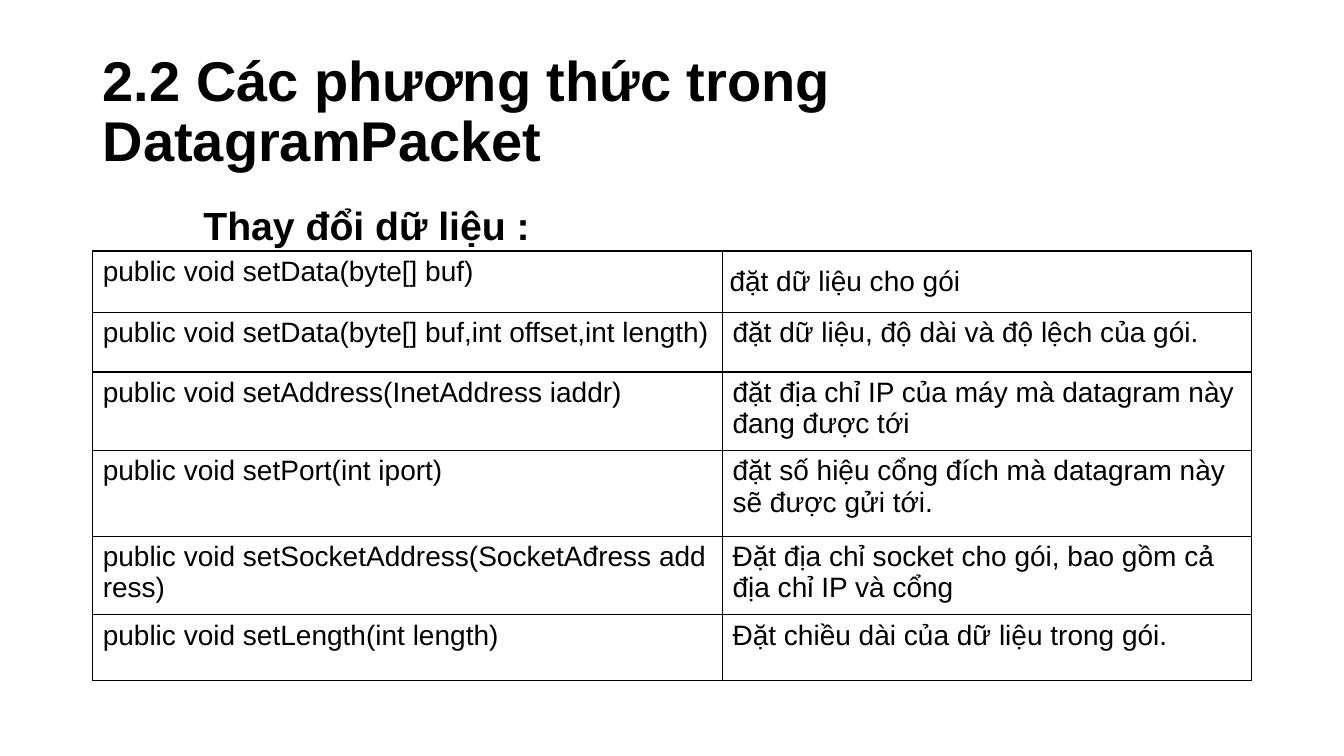
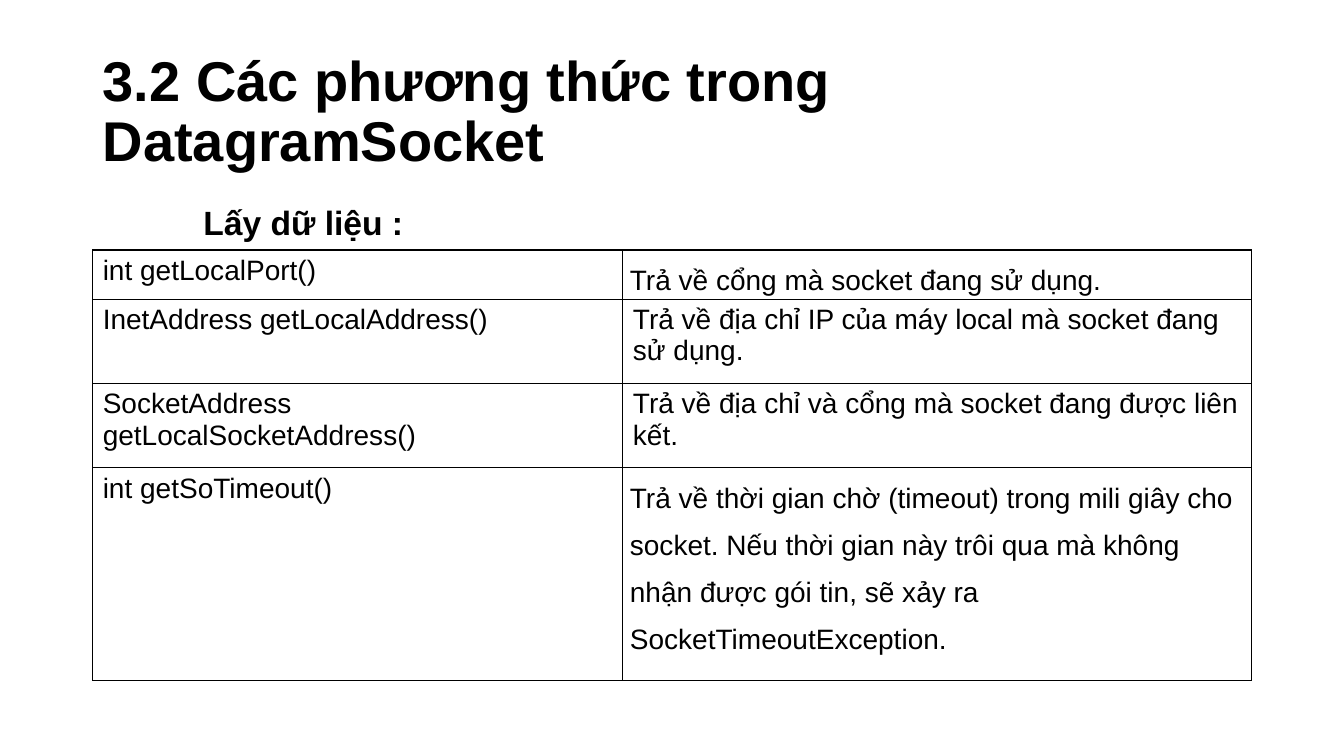
from dataclasses import dataclass
from typing import Any

from lxml import etree
from pptx import Presentation
from pptx.dml.color import RGBColor
from pptx.enum.text import MSO_ANCHOR, MSO_AUTO_SIZE, PP_ALIGN
from pptx.oxml.ns import qn
from pptx.util import Inches, Pt

MIDDLE = MSO_ANCHOR.MIDDLE
TOP = MSO_ANCHOR.TOP
NO_FIT = MSO_AUTO_SIZE.NONE
LEFT = PP_ALIGN.LEFT
TITLE_ONLY = 5
NO_BREAK_SPACE = chr(160)

SLIDE_WIDTH = Inches(13.33)
SLIDE_HEIGHT = Inches(7.5)
GRID_COLUMNS = 29
GRID_ROWS = 75
CONTENT_COLUMNS = 25


@dataclass(frozen=True)
class Theme:
    font: str = "Arial"
    ink: RGBColor = RGBColor(0, 0, 0)
    title_size: int = 40
    cell_size: int = 20
    border: int = 1
    tight: float = 0.9
    loose: float = 1.5


@dataclass(frozen=True)
class Area:
    row: float
    rows: float
    column: float = 2
    columns: float = CONTENT_COLUMNS

    def place(self) -> tuple[int, int, int, int]:
        return (across(self.column), down(self.row),
                across(self.columns), down(self.rows))


@dataclass(frozen=True)
class Method:
    signature: str
    meaning: str
    height: float
    loose: bool = False
    space_after: int = 0


@dataclass(frozen=True)
class Page:
    title: str
    heading: str
    heading_size: int
    table_row: float
    signature_columns: float
    methods: tuple[Method, ...]
    unbroken: bool = False


THEME = Theme()
TITLE_AREA = Area(4, 14.5)
HEADING_AREA = Area(20, 47.6)

PAGES = (
    Page(
        "2.2 Các phương thức trong DatagramPacket",
        "Thay đổi dữ liệu :", 28, 24.9, 13.59,
        (
            Method("public void setData(byte[] buf)",
                   "đặt dữ liệu cho gói", 6.1, True, 8),
            Method("public void setData(byte[] buf,int offset,int length)",
                   "đặt dữ liệu, độ dài và độ lệch của gói.", 5.9),
            Method("public void setAddress(InetAddress iaddr)",
                   "đặt địa chỉ IP của máy mà datagram này đang được tới", 7.8),
            Method("public void setPort(int iport)",
                   "đặt số hiệu cổng đích mà datagram này sẽ được gửi tới.", 8.5),
            Method("public void setSocketAddress(SocketAđress address)",
                   "Đặt địa chỉ socket cho gói, bao gồm cả địa chỉ IP và cổng", 7.8),
            Method("public void setLength(int length)",
                   "Đặt chiều dài của dữ liệu trong gói.", 6.5),
        ),
        unbroken=True,
    ),
    Page(
        "3.2 Các phương thức trong DatagramSocket",
        "Lấy dữ liệu :", 24, 24.8, 11.44,
        (
            Method("int getLocalPort()",
                   "Trả về cổng mà socket đang sử dụng.", 4.9, True),
            Method("InetAddress getLocalAddress()",
                   "Trả về địa chỉ IP của máy local mà socket đang sử dụng.", 8.35),
            Method("SocketAddress getLocalSocketAddress()",
                   "Trả về địa chỉ và cổng mà socket đang được liên kết.", 8.35),
            Method("int getSoTimeout()",
                   "Trả về thời gian chờ (timeout) trong mili giây cho socket. "
                   "Nếu thời gian này trôi qua mà không nhận được gói tin, "
                   "sẽ xảy ra SocketTimeoutException.", 21.1, True),
        ),
    ),
)


def across(columns: float) -> int:
    return round(SLIDE_WIDTH * columns / GRID_COLUMNS)


def down(rows: float) -> int:
    return round(SLIDE_HEIGHT * rows / GRID_ROWS)


def assign(target: Any, values: dict[str, Any]) -> None:
    for name, value in values.items():
        setattr(target, name, value)


def write(frame: Any, text: str, size: int, bold: bool = False,
          **spacing: Any) -> Any:
    para = frame.paragraphs[0]
    assign(para, {"alignment": LEFT, **spacing})
    span = para.add_run()
    span.text = text
    assign(span.font, {"name": THEME.font, "size": Pt(size), "bold": bold})
    span.font.color.rgb = THEME.ink
    return para


def add_title(slide: Any, text: str) -> None:
    box = slide.shapes.title
    assign(box, dict(zip(("left", "top", "width", "height"), TITLE_AREA.place())))
    assign(box.text_frame, {"vertical_anchor": MIDDLE, "word_wrap": True,
                            "auto_size": NO_FIT})
    write(box.text_frame, text, THEME.title_size, True, line_spacing=THEME.tight)


def add_heading(slide: Any, text: str, size: int) -> None:
    box = slide.shapes.add_textbox(*HEADING_AREA.place())
    assign(box.text_frame, {"vertical_anchor": TOP, "word_wrap": True,
                            "auto_size": NO_FIT})
    para = write(box.text_frame, text, size, True, line_spacing=THEME.tight)
    para._p.get_or_add_pPr().set("marL", str(Inches(1)))


def outline(cell: Any) -> None:
    properties = cell._tc.get_or_add_tcPr()
    for side in ("a:lnL", "a:lnR", "a:lnT", "a:lnB"):
        line = etree.SubElement(properties, qn(side), w=str(Pt(THEME.border)))
        fill = etree.SubElement(line, qn("a:solidFill"))
        etree.SubElement(fill, qn("a:srgbClr"), val=str(THEME.ink))
    cell.fill.background()


def fill_row(cells: Any, method: Method, unbroken: bool) -> None:
    signature_cell, meaning_cell = cells
    signature = method.signature
    if unbroken:
        signature = signature.replace(" ", NO_BREAK_SPACE)
    write(signature_cell.text_frame, signature, THEME.cell_size)
    spacing: dict[str, Any] = {}
    if method.loose:
        assign(meaning_cell, {"margin_left": Inches(0.07), "margin_top": 0,
                              "margin_right": Inches(0.07), "margin_bottom": 0})
        spacing = {"line_spacing": THEME.loose,
                   "space_after": Pt(method.space_after)}
    write(meaning_cell.text_frame, method.meaning, THEME.cell_size, **spacing)
    for cell in cells:
        outline(cell)


def add_methods(slide: Any, page: Page) -> None:
    height = sum(method.height for method in page.methods)
    area = Area(page.table_row, height)
    table = slide.shapes.add_table(len(page.methods), 2, *area.place()).table
    assign(table, {"first_row": False, "horz_banding": False})
    widths = (page.signature_columns, CONTENT_COLUMNS - page.signature_columns)
    for column, width in zip(table.columns, widths):
        column.width = across(width)
    for row, method in zip(table.rows, page.methods):
        row.height = down(method.height)
        fill_row(tuple(row.cells), method, page.unbroken)


def main() -> None:
    deck = Presentation()
    assign(deck, {"slide_width": SLIDE_WIDTH, "slide_height": SLIDE_HEIGHT})
    for page in PAGES:
        slide = deck.slides.add_slide(deck.slide_layouts[TITLE_ONLY])
        add_title(slide, page.title)
        add_heading(slide, page.heading, page.heading_size)
        add_methods(slide, page)
    deck.save("out.pptx")


if __name__ == "__main__":
    main()
